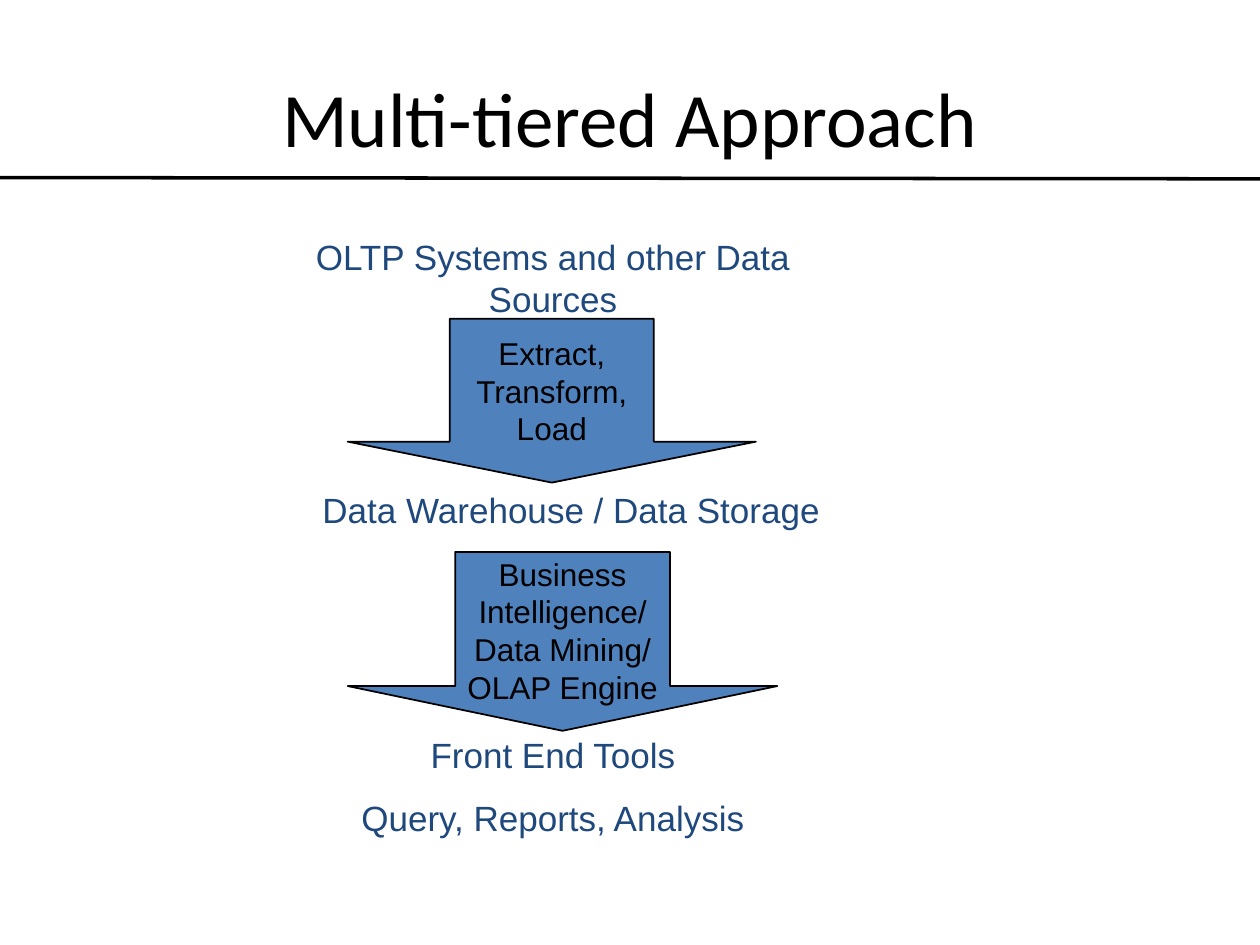
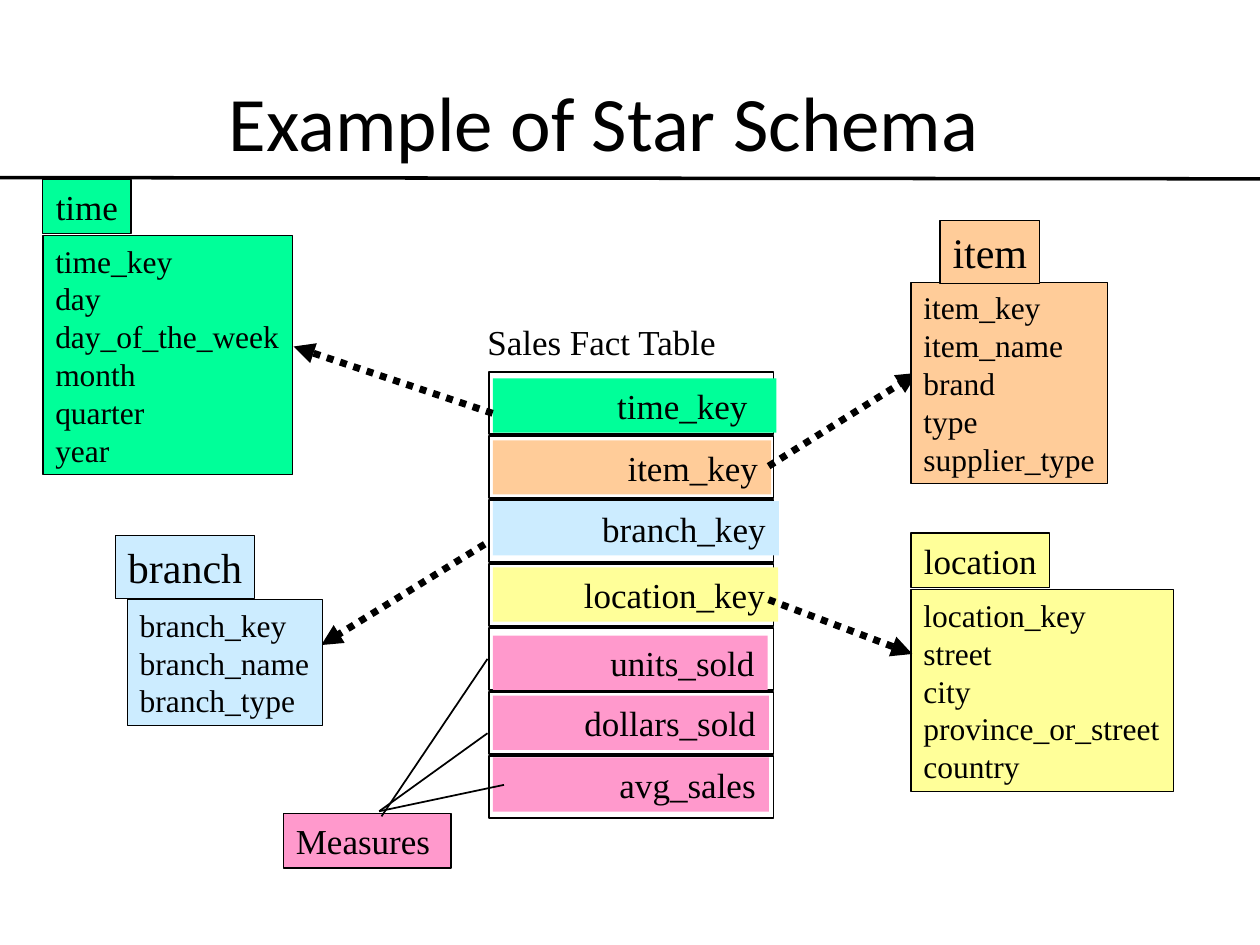
from lxml import etree
from pptx import Presentation
from pptx.dml.color import RGBColor
from pptx.enum.dml import MSO_LINE
from pptx.enum.shapes import MSO_CONNECTOR, MSO_SHAPE
from pptx.enum.text import MSO_ANCHOR, MSO_AUTO_SIZE, PP_ALIGN
from pptx.oxml.ns import qn
from pptx.util import Pt

RECTANGLE, DOWN_ARROW = MSO_SHAPE.RECTANGLE, MSO_SHAPE.DOWN_ARROW
STRAIGHT, DOTTED = MSO_CONNECTOR.STRAIGHT, MSO_LINE.ROUND_DOT
LEFT, CENTER, RIGHT = PP_ALIGN.LEFT, PP_ALIGN.CENTER, PP_ALIGN.RIGHT
TOP, MIDDLE = MSO_ANCHOR.TOP, MSO_ANCHOR.MIDDLE
NO_AUTOFIT = MSO_AUTO_SIZE.NONE

COLOURS = {
    "ink": "000000",
    "tier": "1F497D",
    "arrow": "4F81BD",
    "time": "00FF99",
    "item": "FFCC99",
    "branch": "CCECFF",
    "location": "FFFF99",
    "measure": "FF99CC",
}
TITLE_FONT, TIER_FONT, SCHEMA_FONT = "Calibri", "Arial", "Times New Roman"
TITLE_ONLY = 5
SLIDE_WIDTH, SLIDE_HEIGHT = 720, 540
ROW_PITCH, ROW_HEIGHT, CELL_HEIGHT = 36.6, 35.3, 31

FACT_ROWS = [
    ("time_key", "time", 3.6, 162),
    ("item_key", "item", 2.4, 159),
    ("branch_key", "branch", 0.6, 163.4),
    ("location_key", "location", 1.8, 163),
    ("units_sold", "measure", 4.2, 157),
    ("dollars_sold", "measure", 2, 157.7),
    ("avg_sales", "measure", 0.6, 157.7),
]
KEY_LINKS = [
    ((277, 311), (183.6, 368.6)),
    ((281.5, 236.2), (167.8, 198)),
    ((439.2, 342.7), (521.3, 373.7)),
    ((439.2, 266.4), (524.2, 213.1)),
]
MEASURE_LINES = [
    ((56, 1.5), (116.6, -88.5)),
    ((54.7, -1.4), (116.6, -46)),
    ((54.7, -1.4), (126, -16.5)),
]


def colour(name):
    """Return the named colour."""
    return RGBColor.from_string(COLOURS[name])


def points(*lengths):
    """Turn plain numbers into point lengths."""
    return [Pt(length) for length in lengths]


def write(shape, lines, font, size, ink="ink", align=LEFT, anchor=TOP, wrap=True, gap=0):
    """Fill a shape with formatted paragraphs, with a gap between them."""
    frame = shape.text_frame
    frame.text = "\n".join(lines)
    frame.word_wrap = wrap
    frame.auto_size = NO_AUTOFIT
    frame.vertical_anchor = anchor
    for index, paragraph in enumerate(frame.paragraphs):
        paragraph.alignment = align
        paragraph.space_before = Pt(gap if index else 0)
        for run in paragraph.runs:
            run.font.name = font
            run.font.size = Pt(size)
            run.font.color.rgb = colour(ink)


def add_block(slide, box, fill=None, line_width=0, kind=RECTANGLE):
    """Add a flat shape with an optional fill and outline."""
    shape = slide.shapes.add_shape(kind, *points(*box))
    shape.shadow.inherit = False
    if fill:
        shape.fill.solid()
        shape.fill.fore_color.rgb = colour(fill)
    else:
        shape.fill.background()
    if line_width:
        shape.line.color.rgb = colour("ink")
        shape.line.width = Pt(line_width)
    else:
        shape.line.fill.background()
    return shape


def add_line(slide, start, end, width, dotted_arrow=False):
    """Draw a plain line or a dotted arrow."""
    connector = slide.shapes.add_connector(STRAIGHT, *points(*start, *end))
    connector.line.color.rgb = colour("ink")
    connector.line.width = Pt(width)
    if dotted_arrow:
        connector.line.dash_style = DOTTED
        outline = connector.line._get_or_add_ln()
        etree.SubElement(outline, qn("a:tailEnd"), type="triangle")
    etree.SubElement(connector._element.spPr, qn("a:effectLst"))


def add_heading(slide, box, text):
    """Place the title and the rule across the slide."""
    title = slide.shapes.title
    title.left, title.top, title.width, title.height = points(*box)
    write(title, [text], TITLE_FONT, 44, align=CENTER, anchor=MIDDLE)
    add_line(slide, (0, 101.5), (SLIDE_WIDTH, 102.2), 2)


def add_tier(slide, box, lines):
    """Add the label of one tier."""
    label = slide.shapes.add_textbox(*points(*box))
    write(label, lines, TIER_FONT, 20, ink="tier", align=CENTER, gap=12.5)


def add_step(slide, box, lines):
    """Add the block arrow that leads to the next tier."""
    arrow = add_block(slide, box, "arrow", 1, DOWN_ARROW)
    arrow.adjustments[0], arrow.adjustments[1] = 0.5, 0.25
    write(arrow, lines, TIER_FONT, 18, align=CENTER, anchor=MIDDLE, wrap=False)


def add_tier_flow(slide, box):
    """Stack tiers and steps from the top of the box."""
    left, top, width, _ = box
    add_tier(slide, (left, top, width, 55.4), ["OLTP Systems and other Data Sources"])
    add_step(slide, (left + 42.7, top + 51.2, 233.3, 93.6), ["Extract,", "Transform,", "Load"])
    add_step(slide, (left + 42.7, top + 184.4, 245.5, 102.2),
             ["Business", "Intelligence/", "Data Mining/", "OLAP Engine"])
    add_tier(slide, (left, top + 144.8, width + 21, 31.7), ["Data Warehouse / Data Storage"])
    add_tier(slide, (left, top + 284.4, width, 67.7),
             ["Front End Tools", "Query, Reports, Analysis"])


def add_dimension(slide, box, name, tab_shift, tab_width, fields, name_size=20):
    """Add a dimension's field list with its name tab above it."""
    left, top = box[:2]
    field_list = add_block(slide, box, name, 0.75)
    write(field_list, fields, SCHEMA_FONT, 18, wrap=False)
    shift_x, shift_y = tab_shift
    tab_height = name_size * 1.2 + 7.2
    tab = add_block(slide, (left + shift_x, top + shift_y, tab_width, tab_height), name, 0.75)
    write(tab, [name], SCHEMA_FONT, name_size, align=CENTER, wrap=False)


def add_fact_table(slide, box):
    """Add the caption, the outlined rows and their coloured cells."""
    left, top, width, _ = box
    caption = slide.shapes.add_textbox(*points(left - 8, top - 33, 147, CELL_HEIGHT))
    write(caption, ["Sales Fact Table"], SCHEMA_FONT, 20, wrap=False)
    for index, (field, fill, drop, cell_width) in enumerate(FACT_ROWS):
        row_top = top + index * ROW_PITCH
        add_block(slide, (left, row_top, width, ROW_HEIGHT), line_width=1)
        cell = add_block(slide, (left + 2.3, row_top + drop, cell_width, CELL_HEIGHT), fill)
        write(cell, [field], SCHEMA_FONT, 20, align=RIGHT)
        cell.text_frame.margin_right = Pt(16.5 if fill == "time" else 7.5)


def add_measures(slide, box):
    """Add the measures label and its lines to the measure rows."""
    left, top = box[:2]
    label = add_block(slide, box, "measure", 0.75)
    write(label, ["Measures"], SCHEMA_FONT, 20)
    for start, end in MEASURE_LINES:
        add_line(slide, (left + start[0], top + start[1]), (left + end[0], top + end[1]), 1)


def build_approach_slide(slide):
    """Build the slide on the tiers of a warehouse."""
    add_tier_flow(slide, (156, 131, 320, 352))
    add_heading(slide, (36, 21.6, 648, 90), "Multi-tiered Approach")


def build_schema_slide(slide):
    """Build the star schema around its fact table."""
    add_dimension(slide, (24.5, 134.6, 142.6, 136.8), "time", (0, -32.2), 50.4,
                  ["time_key", "day", "day_of_the_week", "month", "quarter", "year"])
    add_dimension(slide, (520.6, 337, 149.8, 115.2), "location", (0, -32.4), 79.2,
                  ["location_key", "street", "city", "province_or_street", "country"])
    add_fact_table(slide, (279.4, 212.6, 162.7, 255))
    add_measures(slide, (162, 465, 95.8, CELL_HEIGHT))
    for start, end in KEY_LINKS:
        add_line(slide, start, end, 4, dotted_arrow=True)
    add_dimension(slide, (520.6, 161.3, 112.3, 115.2), "item", (16.6, -35.3), 56.9,
                  ["item_key", "item_name", "brand", "type", "supplier_type"], 24)
    add_dimension(slide, (72.7, 342.7, 111.6, 72), "branch", (-6.5, -36.7), 79.2,
                  ["branch_key", "branch_name", "branch_type"], 24)
    add_heading(slide, (44.6, 36, 601.2, 65.5), "Example of Star Schema")


def main():
    """Build and save the presentation."""
    presentation = Presentation()
    presentation.slide_width, presentation.slide_height = points(SLIDE_WIDTH, SLIDE_HEIGHT)
    layout = presentation.slide_layouts[TITLE_ONLY]
    for build in (build_approach_slide, build_schema_slide):
        build(presentation.slides.add_slide(layout))
    presentation.save("out.pptx")


if __name__ == "__main__":
    main()
